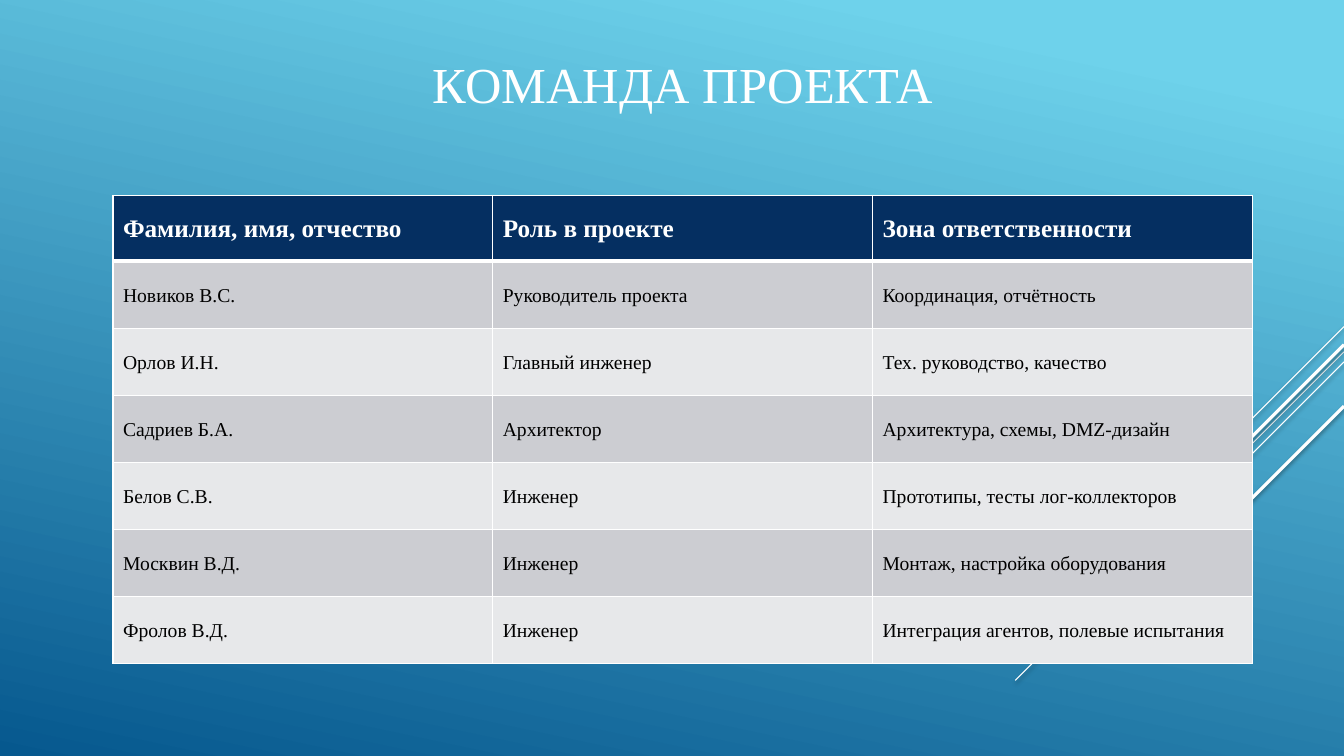
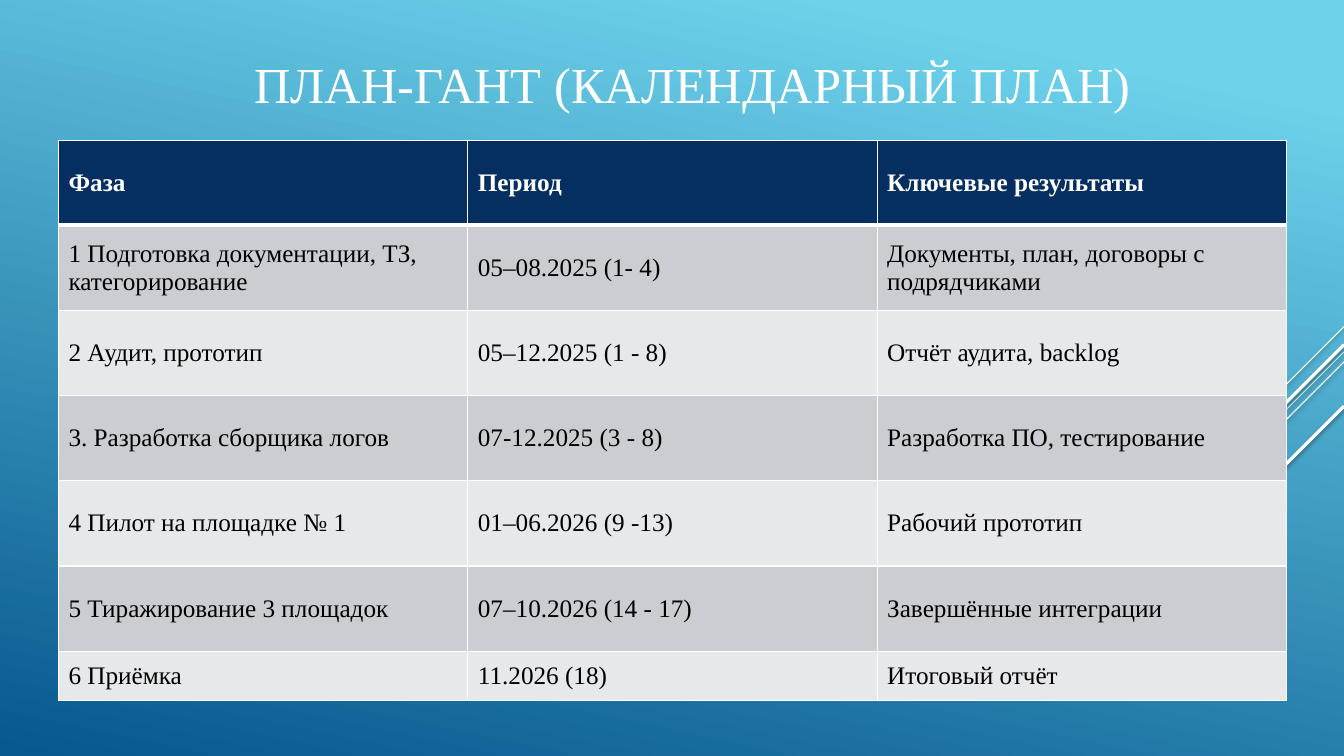
from pptx import Presentation
from pptx.dml.color import RGBColor
from pptx.enum.shapes import MSO_CONNECTOR
from pptx.enum.text import MSO_ANCHOR, MSO_AUTO_SIZE, PP_ALIGN
from pptx.oxml import parse_xml
from pptx.oxml.ns import nsdecls
from pptx.util import Inches, Pt

STRAIGHT = MSO_CONNECTOR.STRAIGHT
MIDDLE = MSO_ANCHOR.MIDDLE
NO_AUTOFIT = MSO_AUTO_SIZE.NONE
CENTER = PP_ALIGN.CENTER

FONT = "Times New Roman"
COLORS = {
    "white": "FFFFFF",
    "black": "000000",
    "sky": "6ED2EB",
    "deep blue": "06588E",
    "header": "052F61",
    "odd row": "CCCDD2",
    "even row": "E7E8EA",
}
SLIDE_WIDTH = 13.33
TITLE_ONLY = 5
FIRST_STRIPE_ID = 100

# Diagonal stripes from the right edge: start height, run to the left, line width
STRIPES = [
    (3.24, 1.0, 0.75),
    (3.49, 3.26, 0.75),
    (3.59, 2.07, 0.75),
    (3.42, 1.91, 2.25),
    (4.03, 1.39, 2.25),
]

TEAM = [
    ("Фамилия, имя, отчество", "Роль в проекте", "Зона ответственности"),
    ("Новиков В.С.", "Руководитель проекта", "Координация, отчётность"),
    ("Орлов И.Н.", "Главный инженер", "Тех. руководство, качество"),
    ("Садриев Б.А.", "Архитектор", "Архитектура, схемы, DMZ-дизайн"),
    ("Белов С.В.", "Инженер", "Прототипы, тесты лог-коллекторов"),
    ("Москвин В.Д.", "Инженер", "Монтаж, настройка оборудования"),
    ("Фролов В.Д.", "Инженер", "Интеграция агентов, полевые испытания"),
]
PLAN = [
    ("Фаза", "Период", "Ключевые результаты"),
    ("1 Подготовка документации, ТЗ, категорирование", "05–08.2025 (1- 4)",
     "Документы, план, договоры с подрядчиками"),
    ("2 Аудит, прототип", "05–12.2025 (1 - 8)", "Отчёт аудита, backlog"),
    ("3. Разработка сборщика логов", "07-12.2025 (3 - 8)", "Разработка ПО, тестирование"),
    ("4 Пилот на площадке № 1", "01–06.2026 (9 -13)", "Рабочий прототип"),
    ("5 Тиражирование 3 площадок", "07–10.2026 (14 - 17)", "Завершённые интеграции"),
    ("6 Приёмка", "11.2026 (18)", "Итоговый отчёт"),
]


def color(name):
    return RGBColor.from_string(COLORS[name])


def add_shadow(connector):
    connector.element.spPr.append(parse_xml(
        f'<a:effectLst {nsdecls("a")}>'
        f'<a:outerShdw blurRad="{Pt(3.1)}" dist="{Pt(1.6)}" dir="5400000" rotWithShape="0">'
        f'<a:srgbClr val="{COLORS["black"]}"><a:alpha val="38000"/></a:srgbClr>'
        '</a:outerShdw></a:effectLst>'))


def add_borders(cell, top, bottom):
    """Draw white cell borders; must run before the cell is filled."""
    properties = cell._tc.get_or_add_tcPr()
    for side, width in (("L", 1), ("R", 1), ("T", top), ("B", bottom)):
        properties.append(parse_xml(
            f'<a:ln{side} {nsdecls("a")} w="{Pt(width)}"><a:solidFill>'
            f'<a:srgbClr val="{COLORS["white"]}"/></a:solidFill></a:ln{side}>'))


class Deck:
    def __init__(self):
        self.presentation = Presentation()
        self.presentation.slide_width = Inches(SLIDE_WIDTH)
        self.presentation.slide_height = Inches(7.5)
        self.slide = None
        self.set_background()

    def set_background(self):
        fill = self.presentation.slide_master.background.fill
        fill.gradient()
        fill.gradient_angle = 258
        stops = zip(fill.gradient_stops, (("sky", 0.1), ("deep blue", 1)))
        for stop, (name, position) in stops:
            stop.color.rgb = color(name)
            stop.position = position

    def add_master_stripes(self):
        """Draw the stripes on the current slide, then move them to the master."""
        master_tree = self.presentation.slide_master.shapes.element
        for number, (top, run, width) in enumerate(STRIPES):
            stripe = self.slide.shapes.add_connector(
                STRAIGHT, Inches(SLIDE_WIDTH), Inches(top),
                Inches(SLIDE_WIDTH - run), Inches(top + run))
            stripe.line.color.rgb = color("white")
            stripe.line.width = Pt(width)
            add_shadow(stripe)
            stripe.element.nvCxnSpPr.cNvPr.id = FIRST_STRIPE_ID + number
            master_tree.append(stripe.element)

    def add_slide(self, title, left, width):
        layout = self.presentation.slide_layouts[TITLE_ONLY]
        self.slide = self.presentation.slides.add_slide(layout)
        shape = self.slide.shapes.title
        shape.left, shape.top = Inches(left), Inches(0)
        shape.width, shape.height = Inches(width), Inches(1.65)
        frame = shape.text_frame
        frame.text = title
        frame.word_wrap = True
        frame.auto_size = NO_AUTOFIT
        frame.vertical_anchor = MIDDLE
        paragraph = frame.paragraphs[0]
        paragraph.alignment = CENTER
        self.set_font(paragraph, 36, "white")

    def set_font(self, paragraph, size, color_name, bold=False):
        font = paragraph.font
        font.name, font.size, font.bold = FONT, Pt(size), bold
        font.color.rgb = color(color_name)

    def add_table(self, rows, box, fixed_row, fixed_height, body_size,
                  line_spacing=None, space_after=None):
        """Add a table where one row has its own height and the others share the rest."""
        left, top, width, height = map(Inches, box)
        table = self.slide.shapes.add_table(
            len(rows), len(rows[0]), left, top, width, height).table
        table.horz_banding = False
        for row in table.rows:
            row.height = (height - Inches(fixed_height)) // (len(rows) - 1)
        table.rows[fixed_row].height = Inches(fixed_height)

        for row_number, texts in enumerate(rows):
            is_header = row_number == 0
            row_fill = "header" if is_header else "odd row" if row_number % 2 else "even row"
            for column, text in enumerate(texts):
                cell = table.cell(row_number, column)
                add_borders(cell, top=3 if row_number == 1 else 1, bottom=3 if is_header else 1)
                cell.fill.solid()
                cell.fill.fore_color.rgb = color(row_fill)
                cell.vertical_anchor = MIDDLE
                cell.text = text
                paragraph = cell.text_frame.paragraphs[0]
                paragraph.line_spacing = line_spacing
                paragraph.space_after = space_after
                self.set_font(paragraph, 18 if is_header else body_size,
                              "white" if is_header else "black", is_header)


def main():
    deck = Deck()
    deck.add_slide("КОМАНДА ПРОЕКТА", left=2.11, width=9.33)
    deck.add_master_stripes()
    deck.add_table(TEAM, (1.12, 1.94, 11.3, 4.64), fixed_row=0, fixed_height=0.65,
                   body_size=14, line_spacing=1.07, space_after=Pt(8))

    deck.add_slide("ПЛАН-ГАНТ (КАЛЕНДАРНЫЙ ПЛАН)", left=0.57, width=12.6)
    deck.add_table(PLAN, (0.58, 1.39, 12.18, 5.56), fixed_row=len(PLAN) - 1,
                   fixed_height=0.49, body_size=18)
    deck.presentation.save("out.pptx")


if __name__ == "__main__":
    main()
